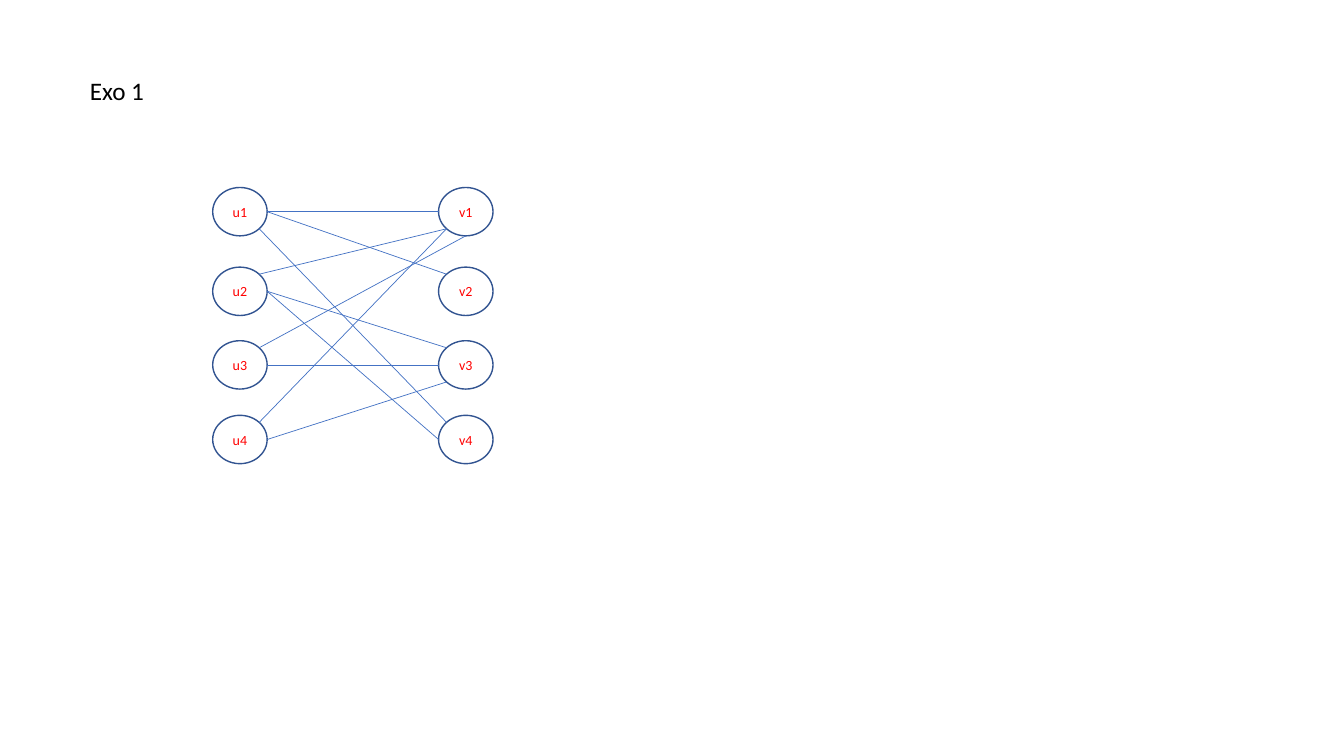
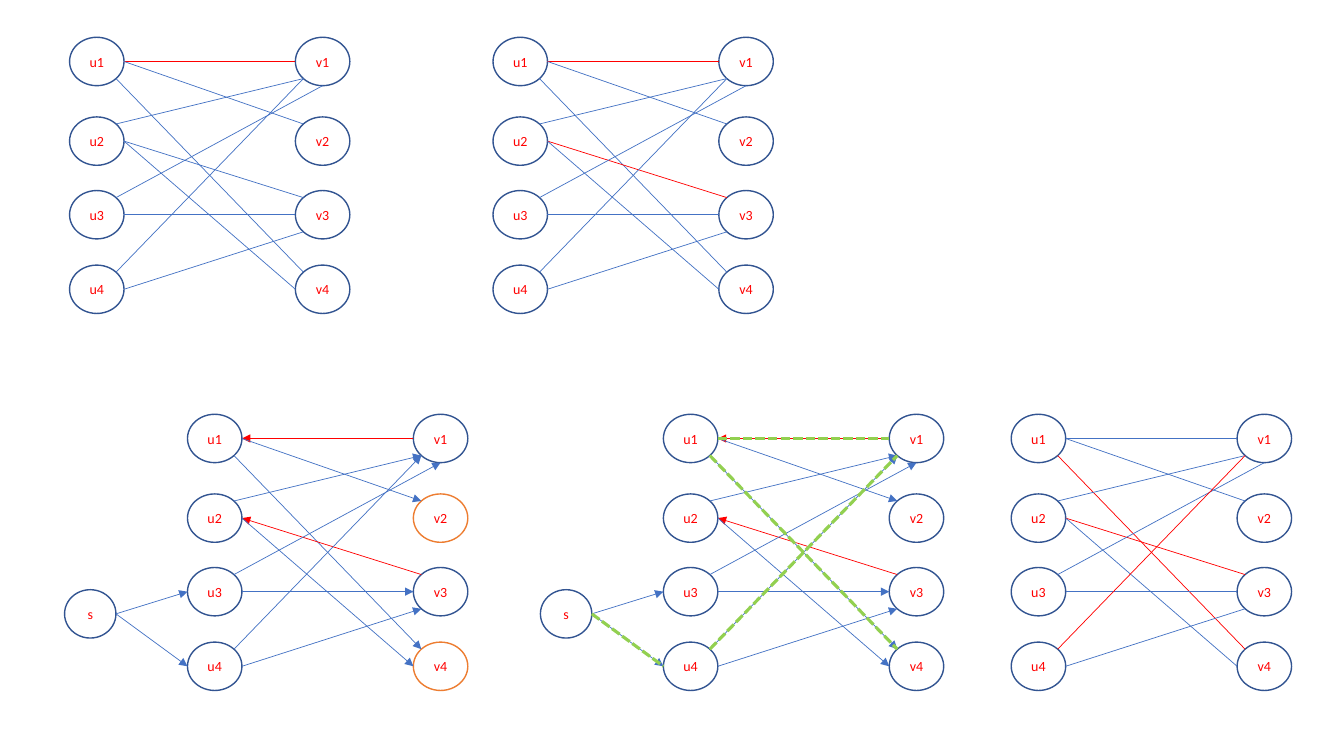
from math import cos, radians, sin

from lxml.etree import SubElement
from pptx import Presentation
from pptx.dml.color import RGBColor
from pptx.enum.dml import MSO_LINE as Dash
from pptx.enum.shapes import MSO_CONNECTOR as Link, MSO_SHAPE as Shape
from pptx.enum.text import MSO_ANCHOR as Anchor, MSO_AUTO_SIZE as Fit, PP_ALIGN as Align
from pptx.oxml.ns import qn
from pptx.util import Inches, Pt

FONT = "Calibri"
BLACK = RGBColor(0x00, 0x00, 0x00)
WHITE = RGBColor(0xFF, 0xFF, 0xFF)
RED = RGBColor(0xFF, 0x00, 0x00)
BLUE = RGBColor(0x44, 0x72, 0xC4)
NAVY = RGBColor(0x32, 0x54, 0x91)
ORANGE = RGBColor(0xED, 0x7D, 0x31)
GREEN = RGBColor(0x92, 0xD0, 0x50)

NODE_W, NODE_H = 0.54, 0.48
START_W = 0.51
START_X, START_Y = -1.22, 1.74
COLS = {"u": 0, "v": 2.24}
ROWS = (0, 0.79, 1.52, 2.26)

RIGHT, LOW_RIGHT, LOW, LOW_LEFT, LEFT, UP_LEFT, UP_RIGHT = 0, 45, 90, 135, 180, 225, 315
EDGES = {
    ("u1", "v1"): (RIGHT, LEFT),
    ("u1", "v2"): (RIGHT, UP_LEFT),
    ("u1", "v4"): (LOW_RIGHT, UP_LEFT),
    ("u2", "v1"): (UP_RIGHT, LOW_LEFT),
    ("u2", "v3"): (RIGHT, UP_LEFT),
    ("u2", "v4"): (RIGHT, LEFT),
    ("u3", "v1"): (UP_RIGHT, LOW),
    ("u3", "v3"): (RIGHT, LEFT),
    ("u4", "v1"): (UP_RIGHT, LOW_LEFT),
    ("u4", "v3"): (RIGHT, LOW_LEFT),
}
STARTS = {("s", "u3"): (RIGHT, LEFT), ("s", "u4"): (RIGHT, LEFT)}

FIRST = {("u1", "v1")}
SECOND = {("u1", "v1"), ("u2", "v3")}
FINAL = {("u1", "v4"), ("u2", "v3"), ("u4", "v1")}
PATH = [("s", "u4"), ("u4", "v1"), ("u1", "v1"), ("u1", "v4")]


def write(frame, text, size=10, color=RED, align=Align.CENTER, anchor=Anchor.MIDDLE):
    """Put formatted text in a frame."""
    frame.vertical_anchor = anchor
    par = frame.paragraphs[0]
    par.alignment = align
    run = par.add_run()
    run.text = text
    run.font.name = FONT
    run.font.size = Pt(size)
    run.font.color.rgb = color


def add_node(slide, name, box, edge=NAVY, fill=WHITE):
    """Draw one labelled ellipse in its box."""
    node = slide.shapes.add_shape(Shape.OVAL, *map(Inches, box))
    node.shadow.inherit = False
    if fill is None:
        node.fill.background()
    else:
        node.fill.solid()
        node.fill.fore_color.rgb = fill
    node.line.color.rgb = edge
    node.line.width = Pt(1)
    frame = node.text_frame
    frame.margin_left = frame.margin_right = 0
    write(frame, name)


def port(box, angle):
    """Give the point of an ellipse at a clockwise angle."""
    left, top, wide, high = box
    turn = radians(angle)
    return left + wide / 2 * (1 + cos(turn)), top + high / 2 * (1 + sin(turn))


def add_edge(slide, start, end, color=BLUE, width=0.5, arrow=False, dash=None):
    """Draw a line between two points."""
    edge = slide.shapes.add_connector(Link.STRAIGHT, *map(Inches, (*start, *end)))
    edge.line.color.rgb = color
    edge.line.width = Pt(width)
    if dash is not None:
        edge.line.dash_style = dash
    if arrow:
        SubElement(edge.get_or_add_ln(), qn("a:tailEnd"), type="triangle")
    SubElement(edge.element.spPr, qn("a:effectLst"))


def add_graph(slide, left, top, match=(), flow=False, free=(), path=()):
    """Draw the two-sided graph, with matched edges red and flow as arrows."""
    boxes = {
        f"{side}{row}": (left + dx, top + dy, NODE_W, NODE_H)
        for side, dx in COLS.items()
        for row, dy in enumerate(ROWS, 1)
    }
    for name, box in boxes.items():
        add_node(slide, name, box, edge=ORANGE if name in free else NAVY)
    edges = dict(EDGES)
    if flow:
        boxes["s"] = (left + START_X, top + START_Y, START_W, NODE_H)
        add_node(slide, "s", boxes["s"], fill=None)
        edges.update(STARTS)

    def ends(pair):
        """Give both end points of an edge."""
        return [port(boxes[name], angle) for name, angle in zip(pair, edges[pair])]

    for pair in edges:
        start, end = ends(pair)
        if pair in match:
            add_edge(slide, end, start, color=RED, arrow=flow)
        else:
            add_edge(slide, start, end, arrow=flow)
    for pair in path:
        add_edge(slide, *ends(pair), color=GREEN, width=2.25, dash=Dash.SQUARE_DOT)


def add_title(slide, text, box):
    """Place the slide title in its box."""
    title = slide.shapes.title
    title.left, title.top, title.width, title.height = map(Inches, box)
    frame = title.text_frame
    frame.word_wrap = False
    frame.auto_size = Fit.SHAPE_TO_FIT_TEXT
    write(frame, text, size=18, color=BLACK, align=Align.LEFT, anchor=Anchor.TOP)


def task_slide(deck):
    """Build the slide that states the graph."""
    slide = deck.slides.add_slide(deck.slide_layouts[5])
    add_graph(slide, 2.11, 1.86)
    add_title(slide, "Exo 1", (0.79, 0.7, 0.75, 0.4))


def steps_slide(deck):
    """Build the slide with the steps of the matching."""
    slide = deck.slides.add_slide(deck.slide_layouts[6])
    upper, lower = 0.37, 4.11
    add_graph(slide, 0.69, upper, match=FIRST)
    add_graph(slide, 4.89, upper, match=SECOND)
    add_graph(slide, 1.86, lower, match=SECOND, flow=True, free=("v2", "v4"))
    add_graph(slide, 6.58, lower, match=SECOND, flow=True, path=PATH)
    add_graph(slide, 10.03, lower, match=FINAL)


def main():
    """Build and save the deck."""
    deck = Presentation()
    deck.slide_width, deck.slide_height = Inches(13.33), Inches(7.5)
    task_slide(deck)
    steps_slide(deck)
    deck.save("out.pptx")


if __name__ == "__main__":
    main()
